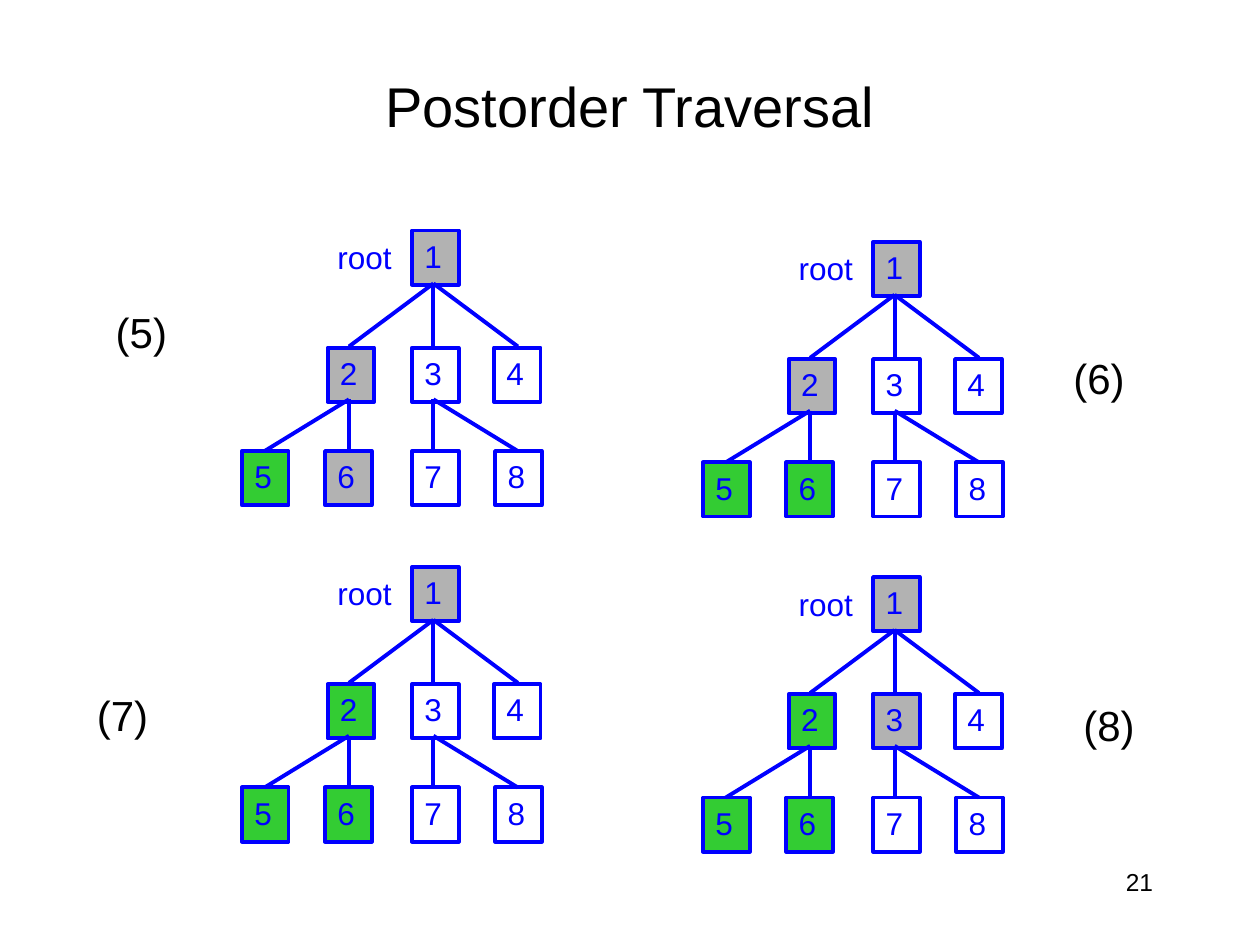
from lxml.etree import SubElement
from pptx import Presentation
from pptx.dml.color import RGBColor
from pptx.enum.shapes import MSO_CONNECTOR, MSO_SHAPE
from pptx.enum.text import MSO_ANCHOR, MSO_AUTO_SIZE, PP_ALIGN
from pptx.oxml.ns import qn
from pptx.util import Inches, Pt

COLORS = {"ink": "000000", "tree": "0000FF", "active": "B2B2B2", "done": "33CC33"}
TREES = [
    {"label": "(5)", "label_at": (0.82, 2.38), "origin": (1.92, 1.83), "active": "126", "done": "5"},
    {"label": "(6)", "label_at": (8.42, 2.75), "origin": (5.58, 1.92), "active": "12", "done": "56"},
    {"label": "(7)", "label_at": (0.67, 5.42), "origin": (1.92, 4.5), "active": "1", "done": "256"},
    {"label": "(8)", "label_at": (8.5, 5.5), "origin": (5.58, 4.58), "active": "13", "done": "256"},
]
LEVELS = [
    {"top": 0, "nodes": {"1": 1.35}},
    {"top": 0.93, "nodes": {"2": 0.68, "3": 1.35, "4": 2.0}},
    {"top": 1.75, "nodes": {"5": 0, "6": 0.66, "7": 1.35, "8": 2.01}},
]
COLUMNS = {"1": 2, "2": 1, "3": 2, "4": 3, "5": 0, "6": 1, "7": 2, "8": 3}
BRANCHES = [("13", 0.42, 0.92), ("12", 0.42, 0.92), ("14", 0.42, 0.92),
            ("25", 1.34, 1.75), ("26", 1.34, 1.75), ("37", 1.34, 1.75), ("38", 1.34, 1.75)]
COLUMN_GAP = 0.67
FIRST_COLUMN = 0.18


def color(name):
    return RGBColor.from_string(COLORS[name])


def write(shape, text, size, ink, align=PP_ALIGN.LEFT, wrap=False):
    frame = shape.text_frame
    frame.word_wrap = wrap
    frame.auto_size = MSO_AUTO_SIZE.NONE if wrap else MSO_AUTO_SIZE.SHAPE_TO_FIT_TEXT
    frame.vertical_anchor = MSO_ANCHOR.TOP
    frame.text = text
    paragraph = frame.paragraphs[0]
    paragraph.alignment = align
    paragraph.font.name = "Arial"
    paragraph.font.size = Pt(size)
    paragraph.font.color.rgb = color(ink)


def add_label(page, text, left, top, width, height, size, ink, **options):
    box = page.shapes.add_textbox(*map(Inches, (left, top, width, height)))
    write(box, text, size, ink, **options)


def add_node(page, name, left, top, fill):
    node = page.shapes.add_shape(MSO_SHAPE.RECTANGLE, *map(Inches, (left, top, 0.37, 0.43)))
    node.shadow.inherit = False
    if fill:
        node.fill.solid()
        node.fill.fore_color.rgb = color(fill)
    else:
        node.fill.background()
    node.line.color.rgb = color("tree")
    node.line.width = Pt(2.25)
    write(node, name, 18, "tree")


def add_branch(page, *ends):
    branch = page.shapes.add_connector(MSO_CONNECTOR.STRAIGHT, *map(Inches, ends))
    branch.line.color.rgb = color("tree")
    branch.line.width = Pt(2.25)
    SubElement(branch._element.spPr, qn("a:effectLst"))


def add_tree(page, tree):
    left, top = tree["origin"]
    for level in LEVELS:
        for name, offset in level["nodes"].items():
            fill = next((state for state in ("active", "done") if name in tree[state]), None)
            add_node(page, name, left + offset, top + level["top"], fill)
    for (parent, child), start, end in BRANCHES:
        parent_x, child_x = (left + FIRST_COLUMN + COLUMN_GAP * COLUMNS[name] for name in (parent, child))
        add_branch(page, parent_x, top + start, child_x, top + end)
    add_label(page, "root", left + 0.66, top + 0.01, 0.63, 0.4, 18, "tree")


def build():
    """Build the postorder traversal slide with four tree states."""
    deck = Presentation()
    deck.slide_width, deck.slide_height = Inches(10), Inches(7.5)
    page = deck.slides.add_slide(deck.slide_layouts[5])
    title = page.shapes.title
    title.left, title.top, title.width, title.height = map(Inches, (0.75, 0.42, 8.5, 0.83))
    write(title, "Postorder Traversal", 32, "ink", align=PP_ALIGN.CENTER, wrap=True)
    title.text_frame.vertical_anchor = MSO_ANCHOR.MIDDLE
    add_label(page, "21", 7.17, 6.83, 2.08, 0.5, 14, "ink", align=PP_ALIGN.RIGHT, wrap=True)
    for tree in TREES:
        add_tree(page, tree)
    for tree in TREES:
        add_label(page, tree["label"], *tree["label_at"], 0.61, 0.5, 24, "ink")
    deck.save("out.pptx")


build()
